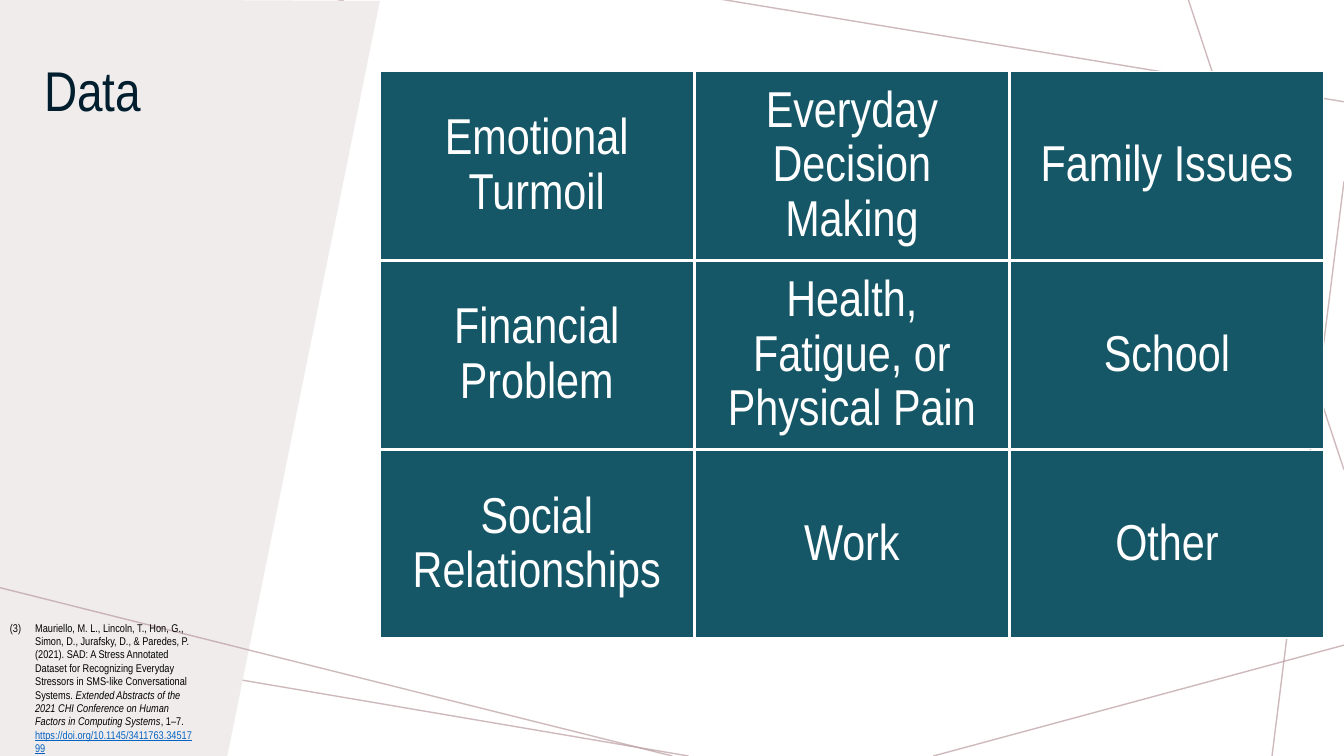
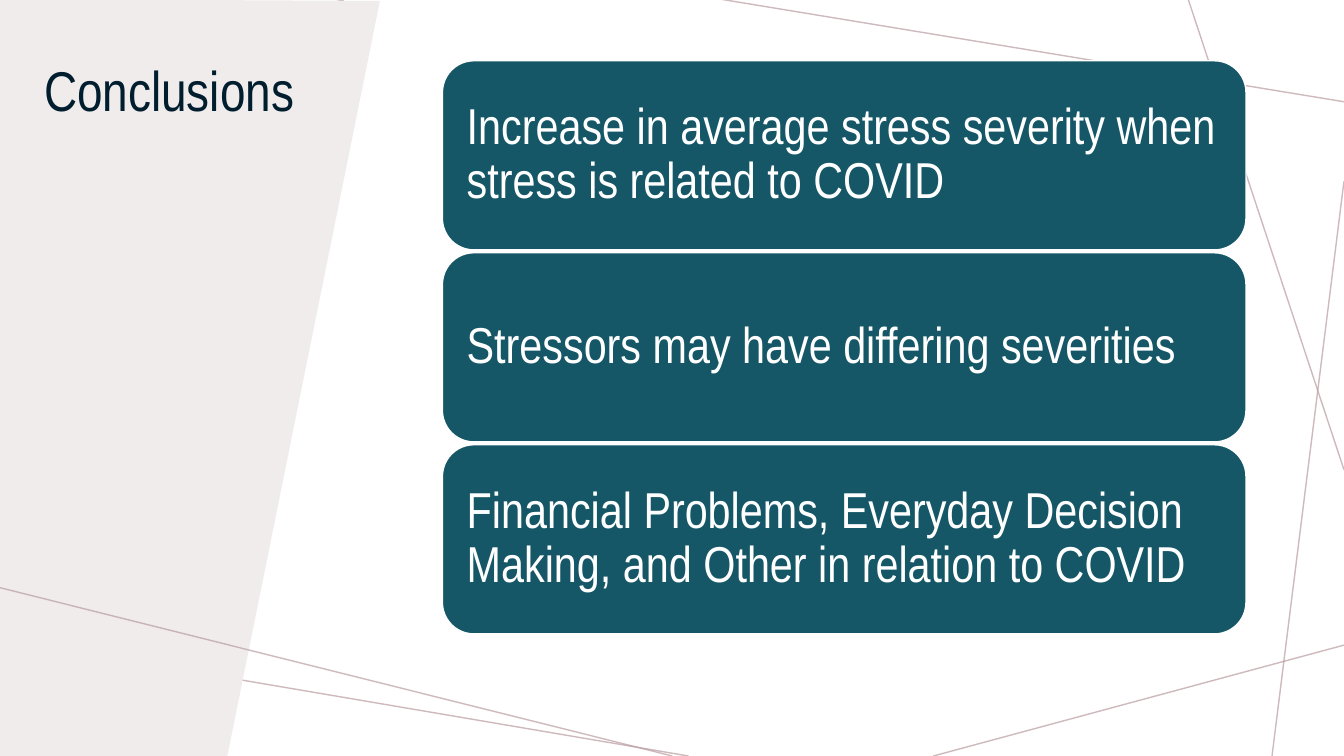
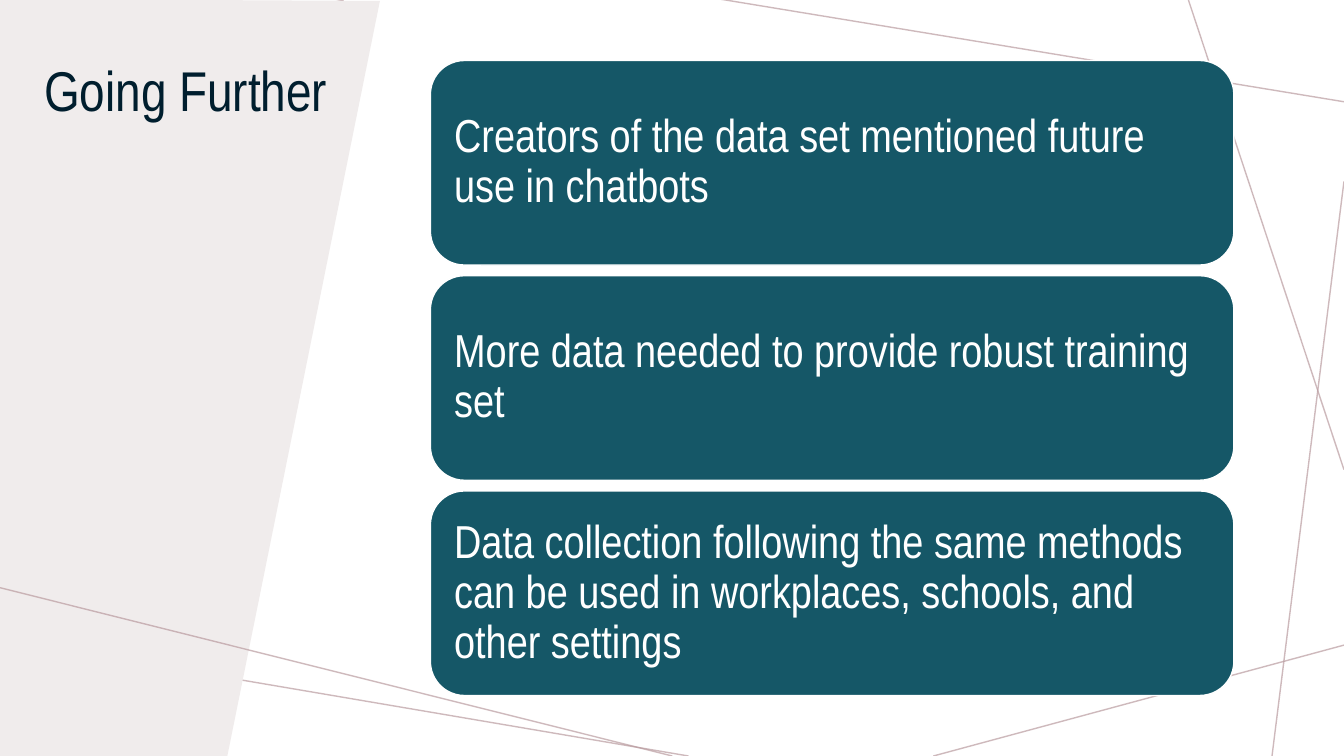
import pptx
import pptx.dml.color
import pptx.enum.dml
import pptx.enum.shapes
import pptx.enum.text
import pptx.oxml
import pptx.oxml.ns
import pptx.util
import lxml.etree

Pt = pptx.util.Pt
Align = pptx.enum.text.PP_ALIGN
Anchor = pptx.enum.text.MSO_ANCHOR
Shape = pptx.enum.shapes.MSO_SHAPE
qn = pptx.oxml.ns.qn

FONT = "Arial Narrow"
WHITE, TEAL, NAVY = "FFFFFF", "155767", "001E2E"
BAND, ROSE, BLACK, LINK = "F0ECEC", "BA9CA0", "000000", "0563C1"

BACK_LINES = [
    (245.5, 0, 0, 54),
    (491.8, 540, -3.6, 455.8),
    (960, 460.8, 666.7, 540),
    (960, 129.6, 908.6, 540),
    (960, 335.5, 848.9, 0),
    (960, 72.7, 514.1, -0.7),
]
FRONT_LINE = (480.2, 540, 0, 419.8)
BAND_OUTLINE = [(162, 542.2), (0, 545), (0, -0.7), (271.4, 0.7)]
TITLE_BOX = (24.5, 41.8, 272.2, 139.7)


def color(value):
    return pptx.dml.color.RGBColor.from_string(value)


def apply(target, values):
    for name, value in values.items():
        setattr(target, name, value)


def points(values):
    return [Pt(value) for value in values]


def paint(shape, fill, line=None):
    shape.shadow.inherit = False
    shape.fill.solid()
    shape.fill.fore_color.rgb = color(fill)
    if line:
        shape.line.color.rgb = color(line)
        shape.line.width = Pt(1)
    else:
        shape.line.fill.background()


def add_span(para, text, size, ink, **values):
    span = para.add_run()
    span.text = text
    apply(span.font, {"name": FONT, "size": Pt(size), **values})
    span.font.color.rgb = color(ink)


def add_line(page, ends):
    line = page.shapes.add_connector(
        pptx.enum.shapes.MSO_CONNECTOR.STRAIGHT, *points(ends))
    line.line.width = Pt(1)
    line.line.color.rgb = color(ROSE)
    tint = line.line._get_or_add_ln().find(".//" + qn("a:srgbClr"))
    lxml.etree.SubElement(tint, qn("a:alpha"), val="70000")
    lxml.etree.SubElement(line._element.spPr, qn("a:effectLst"))


def add_band(page):
    start, *corners = [points(corner) for corner in BAND_OUTLINE]
    builder = page.shapes.build_freeform(*start)
    builder.add_line_segments(corners, close=True)
    paint(builder.convert_to_shape(), BAND)


def add_title(page, box, text):
    frame = page.shapes.add_textbox(*points(box)).text_frame
    frame.word_wrap = True
    para = frame.paragraphs[0]
    para.line_spacing = 0.9
    add_span(para, text, 40, NAVY)


def add_page(deck, title):
    page = deck.slides.add_slide(deck.slide_layouts[6])
    page.background.fill.solid()
    page.background.fill.fore_color.rgb = color(WHITE)
    for ends in BACK_LINES:
        add_line(page, ends)
    add_band(page)
    add_title(page, TITLE_BOX, title)
    add_line(page, FRONT_LINE)
    return page


def add_tiles(page, box, texts, columns, gap, kind, size, align):
    left, top, width, height = box
    rows = len(texts) // columns
    tile_width = (width - gap * (columns - 1)) / columns
    tile_height = (height - gap * (rows - 1)) / rows
    inset = Pt(size * 0.3)
    for index, text in enumerate(texts):
        row, column = divmod(index, columns)
        tile = page.shapes.add_shape(kind, *points((
            left + column * (tile_width + gap),
            top + row * (tile_height + gap),
            tile_width, tile_height)))
        paint(tile, TEAL, WHITE)
        apply(tile.text_frame, {
            "word_wrap": True, "vertical_anchor": Anchor.MIDDLE,
            "margin_left": inset, "margin_right": inset,
            "margin_top": inset, "margin_bottom": inset})
        para = tile.text_frame.paragraphs[0]
        apply(para, {"alignment": align, "line_spacing": 0.9})
        add_span(para, text, size, WHITE)


def add_citation(page, box, number, spans):
    frame = page.shapes.add_textbox(*points(box)).text_frame
    apply(frame, {
        "word_wrap": True,
        "auto_size": pptx.enum.text.MSO_AUTO_SIZE.SHAPE_TO_FIT_TEXT})
    para = frame.paragraphs[0]
    layout = para._p.get_or_add_pPr()
    layout.set("marL", str(Pt(18)))
    layout.set("indent", str(Pt(-18)))
    lxml.etree.SubElement(layout, qn("a:buAutoNum"),
                          type="arabicParenBoth", startAt=str(number))
    for text, ink, values in spans:
        add_span(para, text, 8, ink, **values)


def add_data_page(deck):
    page = add_page(deck, "Data")
    add_tiles(page, (271.5, 51.2, 674, 404.6), [
        "Emotional Turmoil", "Everyday Decision Making", "Family Issues",
        "Financial Problem", "Health, Fatigue, or Physical Pain", "School",
        "Social Relationships", "Work", "Other",
    ], 3, 1.2, Shape.RECTANGLE, 36, Align.CENTER)
    add_citation(page, (0, 439.9, 144.7, 116.6), 3, [
        ("Mauriello, M. L., Lincoln, T., Hon, G., Simon, D., Jurafsky, D., "
         "& Paredes, P. (2021). SAD: A Stress Annotated Dataset for "
         "Recognizing Everyday Stressors in SMS-like Conversational "
         "Systems. ", BLACK, {}),
        ("Extended Abstracts of the 2021 CHI Conference on Human Factors "
         "in Computing Systems", BLACK, {"italic": True}),
        (", 1–7. ", BLACK, {}),
        ("https://doi.org/10.1145/3411763.3451799", LINK,
         {"underline": True}),
    ])


def add_cards_page(deck, title, box, texts, gap, size):
    page = add_page(deck, title)
    add_tiles(page, box, texts, 1, gap, Shape.ROUNDED_RECTANGLE, size,
              Align.LEFT)


deck = pptx.Presentation()
apply(deck, {"slide_width": Pt(960), "slide_height": Pt(540)})
add_data_page(deck)
add_cards_page(deck, "Conclusions", (316, 43.4, 574, 409.4), [
    "Increase in average stress severity when stress is related to COVID",
    "Stressors may have differing severities",
    "Financial Problems, Everyday Decision Making, and Other in relation "
    "to COVID",
], 2, 36)
add_cards_page(deck, "Going Further", (307.4, 43.2, 574, 453.6), [
    "Creators of the data set mentioned future use in chatbots",
    "More data needed to provide robust training set",
    "Data collection following the same methods can be used in workplaces, "
    "schools, and other settings",
], 7.6, 33)
deck.save("out.pptx")
